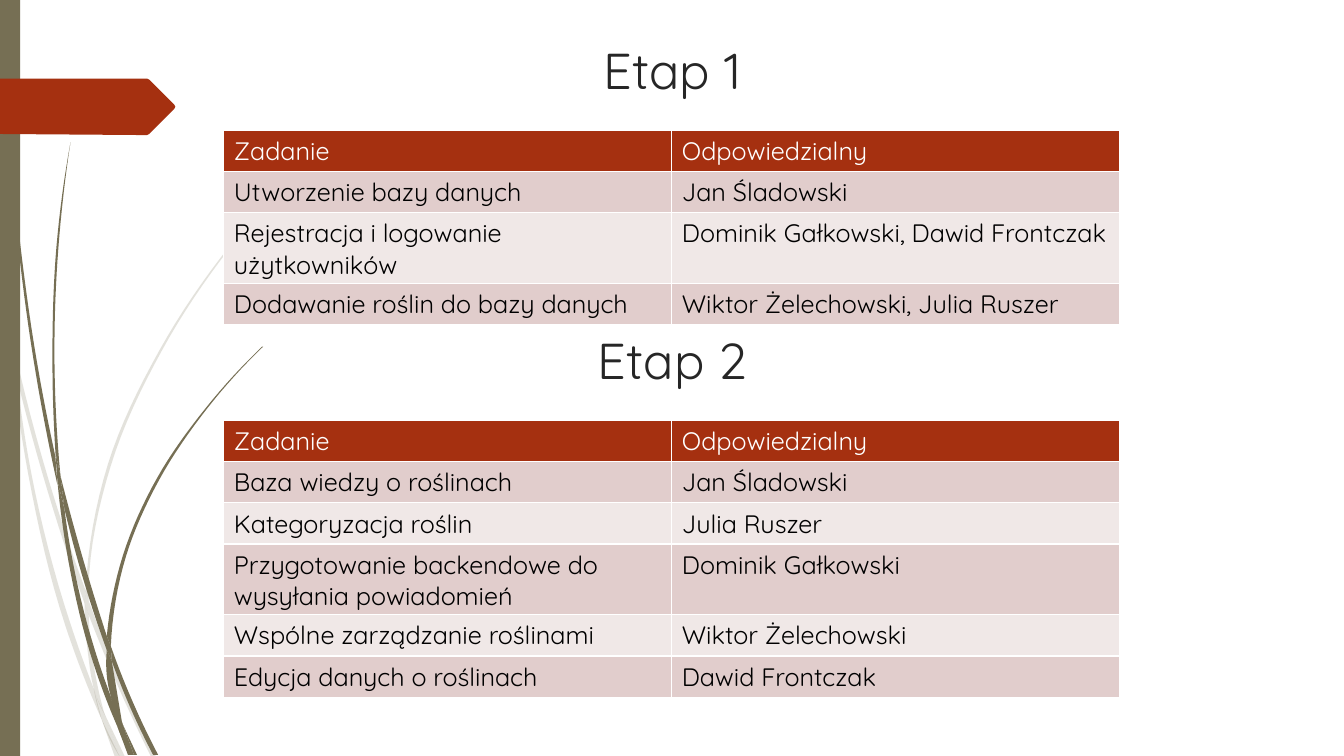
"""Build the slide with the task tables of stages 1 and 2."""
from dataclasses import dataclass
from itertools import pairwise

from lxml import etree
from pptx import Presentation, util as u
from pptx.dml import color
from pptx.enum import shapes, text
from pptx.oxml import ns

OLIVE, RED, WHITE, BLACK, GREY = "766F54", "A53010", "FFFFFF", "000000", "262626"
BANDS = ["E1CDCC", "F0E8E7"]
UNIT = 0.0254
STEPS = 8

PALE_GRASS = [
    ([(0, 299), (11, 350)], [(9, 322), (0, 282)]),
    ([(14, 345), (62, 520), (85, 586)], [(84, 599), (58, 522), (17, 376)]),
    ([(88, 596), (127, 692), (155, 751)], [(150, 751), (123, 694), (88, 610)]),
    ([(119, 751)], [(124, 751), (105, 711)]),
    ([(11, 350), (28, 470), (65, 621), (101, 714)],
     [(93, 683), (70, 619), (31, 469), (17, 376)]),
    ([(84, 599), (87, 646), (96, 692), (105, 711)], [(103, 706), (91, 646), (88, 610)]),
    ([(88, 596), (88, 584), (110, 462), (160, 349), (229, 245), (312, 154)],
     [(312, 153), (228, 244), (158, 348), (107, 461), (85, 586)]),
    ([(101, 714), (114, 751)], [(119, 751)]),
    ([(88, 610), (88, 596)], [(85, 586), (84, 599)]),
    ([(93, 683), (101, 714), (119, 751)], [(105, 711), (96, 692)]),
]
DARK_GRASS = [
    ([(3, 0), (7, 110), (17, 233), (33, 355), (57, 481)],
     [(55, 453), (36, 355), (19, 232), (8, 109), (4, 0)]),
    ([(60, 472), (93, 590), (106, 631)], [(106, 645), (88, 592), (64, 505)]),
    ([(110, 641), (136, 706), (157, 749)], [(152, 749), (132, 708), (111, 656)]),
    ([(57, 477), (68, 557), (93, 659), (117, 722)],
     [(110, 691), (98, 657), (72, 556), (64, 505)]),
    ([(60, 472), (54, 349), (58, 245), (70, 141)],
     [(70, 141), (56, 245), (52, 349), (55, 449)]),
    ([(122, 719), (133, 749)], [(136, 749)]),
    ([(55, 449), (57, 477)], [(64, 505), (60, 472)]),
    ([(110, 641), (125, 552), (158, 476), (205, 406), (261, 344)],
     [(260, 344), (204, 405), (156, 474), (122, 551), (106, 631)]),
    ([(117, 722), (127, 749)], [(131, 749)]),
    ([(106, 645), (110, 691), (122, 719)], [(121, 716), (111, 656)]),
    ([(106, 631), (106, 645)], [(111, 656), (110, 641)]),
    ([(110, 691), (117, 722), (130, 749)], [(133, 749), (122, 719)]),
]
TAG = [(0, 78), (146, 78), (148, 79), (173, 104), (174, 106),
       (173, 108), (148, 133), (146, 134), (136, 134), (0, 133)]

HEADER = ("Zadanie", "Odpowiedzialny")
STAGES = [
    ("Etap 1", 0.86, 3.28, [
        HEADER,
        ("Utworzenie bazy danych", "Jan Śladowski"),
        ("Rejestracja i logowanie użytkowników", "Dominik Gałkowski, Dawid Frontczak"),
        ("Dodawanie roślin do bazy danych", "Wiktor Żelechowski, Julia Ruszer"),
    ]),
    ("Etap 2", 8.18, 10.59, [
        HEADER,
        ("Baza wiedzy o roślinach", "Jan Śladowski"),
        ("Kategoryzacja roślin", "Julia Ruszer"),
        ("Przygotowanie backendowe do wysyłania powiadomień", "Dominik Gałkowski"),
        ("Wspólne zarządzanie roślinami", "Wiktor Żelechowski"),
        ("Edycja danych o roślinach", "Dawid Frontczak"),
    ]),
]


def rgb(h):
    return color.RGBColor.from_string(h)


def smooth(knots):
    pts = [complex(*k) for k in knots]
    if len(pts) < 3:
        return knots
    gaps = [abs(b - a) for a, b in pairwise(pts)]
    dirs = [(b - a) / g for (a, b), g in zip(pairwise(pts), gaps)]
    mids = [(d * h + e * g) / (g + h)
            for (d, e), (g, h) in zip(pairwise(dirs), pairwise(gaps))]
    tans = [2 * dirs[0] - mids[0], *mids, 2 * dirs[-1] - mids[-1]]
    curve = [pts[0]]
    for (a, b), (m, n), g in zip(pairwise(pts), pairwise(tans), gaps):
        for i in range(1, STEPS + 1):
            t = i / STEPS
            curve.append(a + (b - a) * t * t * (3 - 2 * t)
                         + g * t * (1 - t) * (m * (1 - t) - n * t))
    return [(c.real, c.imag) for c in curve]


@dataclass
class Deck:
    s: object
    font: str

    def paint(self, sp, fill, alpha=None):
        sp.shadow.inherit = False
        sp.fill.solid()
        sp.fill.fore_color.rgb = rgb(fill)
        sp.line.fill.background()
        if alpha:
            clr = sp.element.spPr.find(".//" + ns.qn("a:srgbClr"))
            etree.SubElement(clr, ns.qn("a:alpha"), val=str(alpha * 1000))

    def outline(self, points, fill, alpha=None):
        start, *rest = [(u.Cm(x * UNIT), u.Cm(y * UNIT)) for x, y in points]
        fb = self.s.shapes.build_freeform(*start)
        fb.add_line_segments(rest, close=True)
        self.paint(fb.convert_to_shape(), fill, alpha)

    def grass(self, blades, fill, alpha=None):
        for left, right in blades:
            self.outline(smooth(left) + smooth(right), fill, alpha)

    def bar(self, x, y, w, h, fill):
        kind = shapes.MSO_SHAPE.RECTANGLE
        self.paint(self.s.shapes.add_shape(kind, *map(u.Cm, (x, y, w, h))), fill)

    def label(self, tf, words, size, ink):
        r = tf.paragraphs[0].add_run()
        r.text = words
        look = {"name": self.font, "size": u.Pt(size), "bold": False}
        for key, value in look.items():
            setattr(r.font, key, value)
        r.font.color.rgb = rgb(ink)

    def title(self, words, x, y, w, h):
        tf = self.s.shapes.add_textbox(*map(u.Cm, (x, y, w, h))).text_frame
        look = {"word_wrap": True, "vertical_anchor": text.MSO_ANCHOR.TOP}
        for key, value in look.items():
            setattr(tf, key, value)
        self.label(tf, words, 36, GREY)
        tf.paragraphs[0].alignment = text.PP_ALIGN.CENTER

    def border(self, cell):
        tc_pr = cell._tc.get_or_add_tcPr()
        for side in "LRTB":
            ln = etree.SubElement(tc_pr, ns.qn("a:ln" + side), w=str(u.Pt(1)))
            fill = etree.SubElement(ln, ns.qn("a:solidFill"))
            etree.SubElement(fill, ns.qn("a:srgbClr"), val=WHITE)

    def table(self, rows, x, y, w, row_h):
        box = map(u.Cm, (x, y, w, row_h * len(rows)))
        tbl = self.s.shapes.add_table(len(rows), len(rows[0]), *box).table
        for i, row in enumerate(rows):
            tbl.rows[i].height = u.Cm(row_h)
            for j, words in enumerate(row):
                cell = tbl.cell(i, j)
                self.border(cell)
                cell.fill.solid()
                cell.fill.fore_color.rgb = rgb(BANDS[(i - 1) % 2] if i else RED)
                self.label(cell.text_frame, words, 18, BLACK if i else WHITE)


def main():
    prs = Presentation()
    prs.slide_width, prs.slide_height = u.Cm(33.87), u.Cm(19.05)
    deck = Deck(prs.slides.add_slide(prs.slide_layouts[6]), "Quicksand")
    deck.grass(PALE_GRASS, OLIVE, alpha=20)
    deck.grass(DARK_GRASS, OLIVE)
    deck.bar(0, 0, 0.51, 19.05, OLIVE)
    deck.outline(TAG, RED)
    for name, title_y, table_y, rows in STAGES:
        deck.title(name, 14.66, title_y, 4.57, 3.5)
        deck.table(rows, 5.64, table_y, 22.58, 1.04)
    prs.save("out.pptx")


if __name__ == "__main__":
    main()
